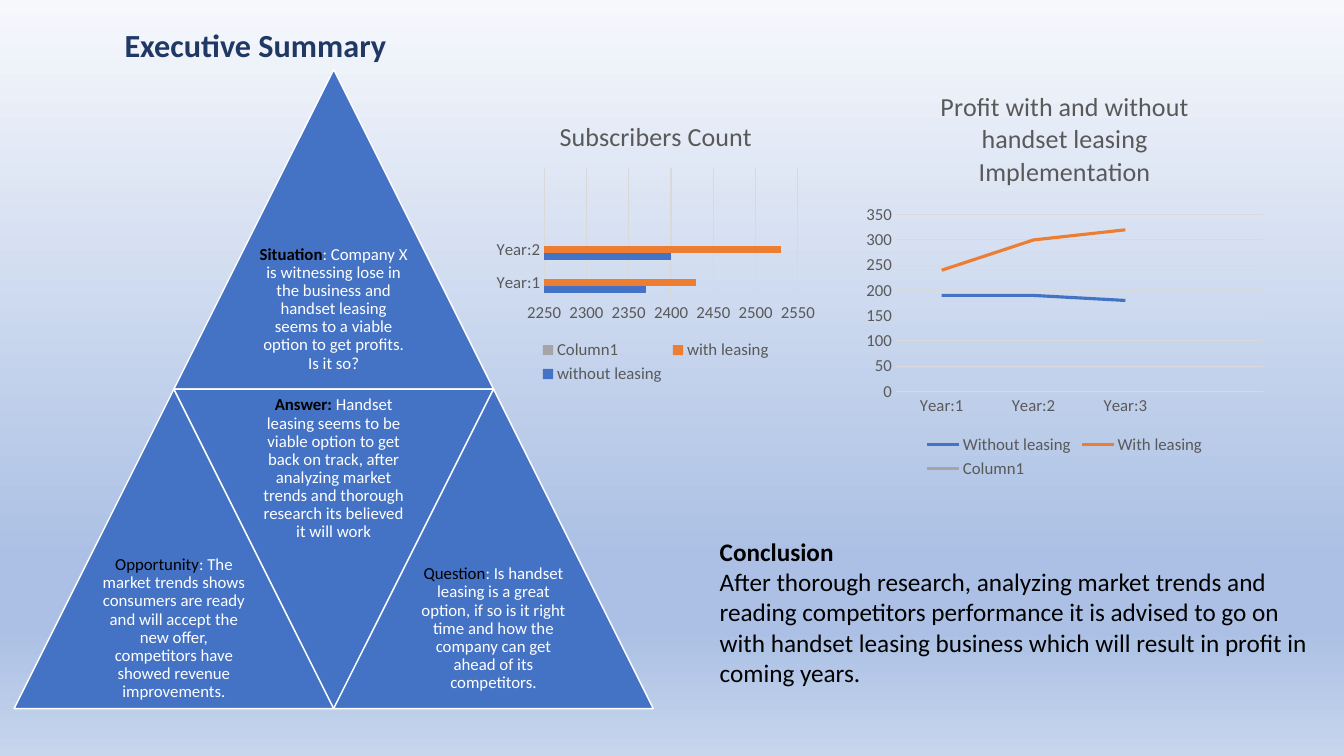
import dataclasses
import typing

import lxml.etree
import pptx
import pptx.chart.data
import pptx.dml.color
import pptx.enum.chart
import pptx.enum.shapes
import pptx.enum.text
import pptx.oxml.ns
import pptx.util

Inches = pptx.util.Inches
Pt = pptx.util.Pt
Align = pptx.enum.text.PP_ALIGN
Anchor = pptx.enum.text.MSO_ANCHOR
Kind = pptx.enum.chart.XL_CHART_TYPE

FONT = "Calibri"
BLACK, WHITE, BLUE, NAVY = "000000", "FFFFFF", "4472C4", "203864"
GREY, RULE = "595959", "D9D9D9"
HUES = (BLUE, "ED7D31", "A5A5A5")
SIDE = 3.17           # width and height of one triangle
HALF = SIDE / 2
LEFT, TOP = 0.14, 0.69  # corner of the pyramid


@dataclasses.dataclass
class Tile:
    col: int
    row: int
    lead: str
    body: str
    bold: bool = False
    down: bool = False


@dataclasses.dataclass
class Graph:
    kind: Kind
    box: tuple
    title: str
    cats: tuple
    rows: dict
    low: int
    high: int


TILES = (
    Tile(1, 0, "Situation", ": Company X is witnessing lose in the business and handset "
         "leasing seems to a viable option to get profits. Is it so?", bold=True),
    Tile(0, 1, "Opportunity", ": The market trends shows consumers are ready and will "
         "accept the new offer, competitors have showed revenue improvements."),
    Tile(1, 1, "Answer: ", "Handset leasing seems to be viable option to get back on "
         "track, after analyzing market trends and thorough research its believed "
         "it will work", bold=True, down=True),
    Tile(2, 1, "Question", ": Is handset leasing is a great option, if so is it right "
         "time and how the company can get ahead of its competitors."),
)

NONE = (None,) * 4
GRAPHS = (
    Graph(Kind.LINE, (8.51, 0.69, 4.1, 4.1),
          "Profit with and without handset leasing Implementation",
          ("Year:1", "Year:2", "Year:3", ""),
          {"Without leasing": (190, 190, 180, None),
           "With leasing": (240, 300, 320, None), "Column1": NONE}, 0, 350),
    Graph(Kind.BAR_CLUSTERED, (4.86, 1.02, 3.29, 2.83), "Subscribers Count",
          ("Year:1", "Year:2", "", ""),
          {"without leasing": (2370, 2400, None, None),
           "with leasing": (2430, 2530, None, None), "Column1": NONE}, 2250, 2550),
)


def tint(code: str) -> pptx.dml.color.RGBColor:
    return pptx.dml.color.RGBColor.from_string(code)


def style(font: typing.Any, size: float, code: str, bold: bool = False) -> None:
    font.name, font.size, font.bold = FONT, Pt(size), bold
    font.color.rgb = tint(code)


def add_box(slide: typing.Any, box: tuple, text: str, inset: float = 0) -> typing.Any:
    frame = slide.shapes.add_textbox(*map(Inches, box)).text_frame
    frame.word_wrap = True
    if inset:
        frame.margin_left = frame.margin_right = Inches(inset)
        frame.margin_top = frame.margin_bottom = Inches(inset)
    frame.text = text
    return frame


def paint_back(slide: typing.Any, stops: tuple) -> None:
    fill = slide.background.fill
    fill.gradient()
    fill.gradient_angle = 270
    qn = pptx.oxml.ns.qn
    group = next(slide.element.iter(qn("a:gsLst")))
    for old in list(group):
        group.remove(old)
    for place, code in stops:
        stop = lxml.etree.SubElement(group, qn("a:gs"), pos=str(place * 1000))
        lxml.etree.SubElement(stop, qn("a:srgbClr"), val=code)


def draw_tile(slide: typing.Any, tile: Tile) -> None:
    x, y = LEFT + tile.col * HALF, TOP + tile.row * SIDE
    shape = slide.shapes.add_shape(
        pptx.enum.shapes.MSO_SHAPE.ISOSCELES_TRIANGLE,
        *map(Inches, (x, y, SIDE, SIDE)))
    shape.rotation = 180 if tile.down else 0
    shape.shadow.inherit = False
    shape.fill.solid()
    shape.fill.fore_color.rgb = tint(BLUE)
    shape.line.color.rgb = tint(WHITE)
    shape.line.width = Pt(1)

    drop = 0 if tile.down else HALF
    frame = add_box(slide, (x + HALF / 2, y + drop, HALF, HALF), tile.lead, 0.05)
    frame.vertical_anchor = Anchor.MIDDLE
    para = frame.paragraphs[0]
    para.alignment, para.line_spacing = Align.CENTER, 0.9
    style(para.runs[0].font, 12, BLACK, tile.bold)
    rest = para.add_run()
    rest.text = tile.body
    style(rest.font, 12, WHITE)


def draw_graph(slide: typing.Any, graph: Graph) -> None:
    data = pptx.chart.data.CategoryChartData()
    data.categories = graph.cats
    for name, vals in graph.rows.items():
        data.add_series(name, vals)
    chart = slide.shapes.add_chart(graph.kind, *map(Inches, graph.box), data).chart
    style(chart.font, 12, GREY)
    chart.has_title = True
    frame = chart.chart_title.text_frame
    frame.text = graph.title
    style(frame.paragraphs[0].runs[0].font, 18.6, GREY)
    chart.has_legend = True
    chart.legend.position = pptx.enum.chart.XL_LEGEND_POSITION.BOTTOM
    chart.legend.include_in_layout = False
    style(chart.legend.font, 12, GREY)

    # Axes
    cat, val = chart.category_axis, chart.value_axis
    for axis in (cat, val):
        axis.major_tick_mark = pptx.enum.chart.XL_TICK_MARK.NONE
        style(axis.tick_labels.font, 12, GREY)
    val.minimum_scale, val.maximum_scale, val.major_unit = graph.low, graph.high, 50
    val.has_major_gridlines = True
    val.format.line.fill.background()
    for part in (cat, val.major_gridlines):
        part.format.line.color.rgb = tint(RULE)
        part.format.line.width = Pt(0.75)

    # Series
    plot = chart.plots[0]
    plot.vary_by_categories = False
    if graph.kind == Kind.BAR_CLUSTERED:
        plot.gap_width = 182
    for row, hue in zip(plot.series, HUES):
        if graph.kind == Kind.LINE:
            row.smooth = False
            row.marker.style = pptx.enum.chart.XL_MARKER_STYLE.NONE
            row.format.line.color.rgb = tint(hue)
            row.format.line.width = Pt(2.25)
        else:
            row.format.fill.solid()
            row.format.fill.fore_color.rgb = tint(hue)


deck = pptx.Presentation()
deck.slide_width, deck.slide_height = Inches(13.33), Inches(7.5)
slide = deck.slides.add_slide(deck.slide_layouts[6])
paint_back(slide, ((0, "F6F8FC"), (74, "ABC0E4"), (83, "ABC0E4"), (100, "C7D5ED")))

# Title
head = add_box(slide, (0.33, 0, 4.41, 0.69), "Executive Summary")
head.vertical_anchor = Anchor.BOTTOM
line = head.paragraphs[0]
line.alignment, line.line_spacing = Align.CENTER, 0.9
style(line.runs[0].font, 23, NAVY, True)

# Pyramid and charts
for tile in TILES:
    draw_tile(slide, tile)
for graph in GRAPHS:
    draw_graph(slide, graph)

# Conclusion
close = add_box(
    slide, (7.04, 5.27, 6.07, 2.83),
    "Conclusion\nAfter thorough research, analyzing market trends and reading "
    "competitors performance it is advised to go on with handset leasing business "
    "which will result in profit in coming years.")
for para, bold in zip(close.paragraphs, (True, False)):
    style(para.runs[0].font, 18, BLACK, bold)

deck.save("out.pptx")
